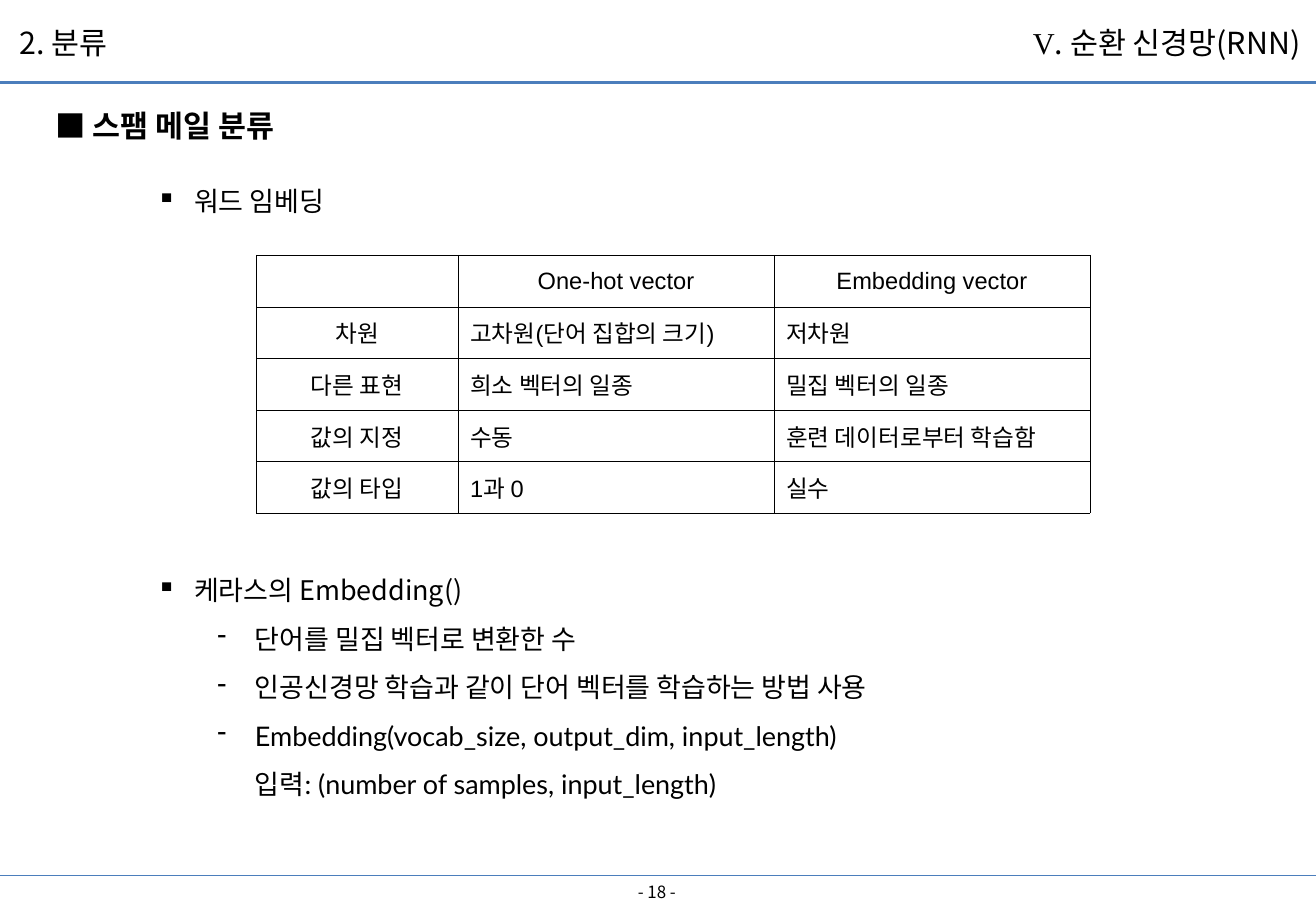
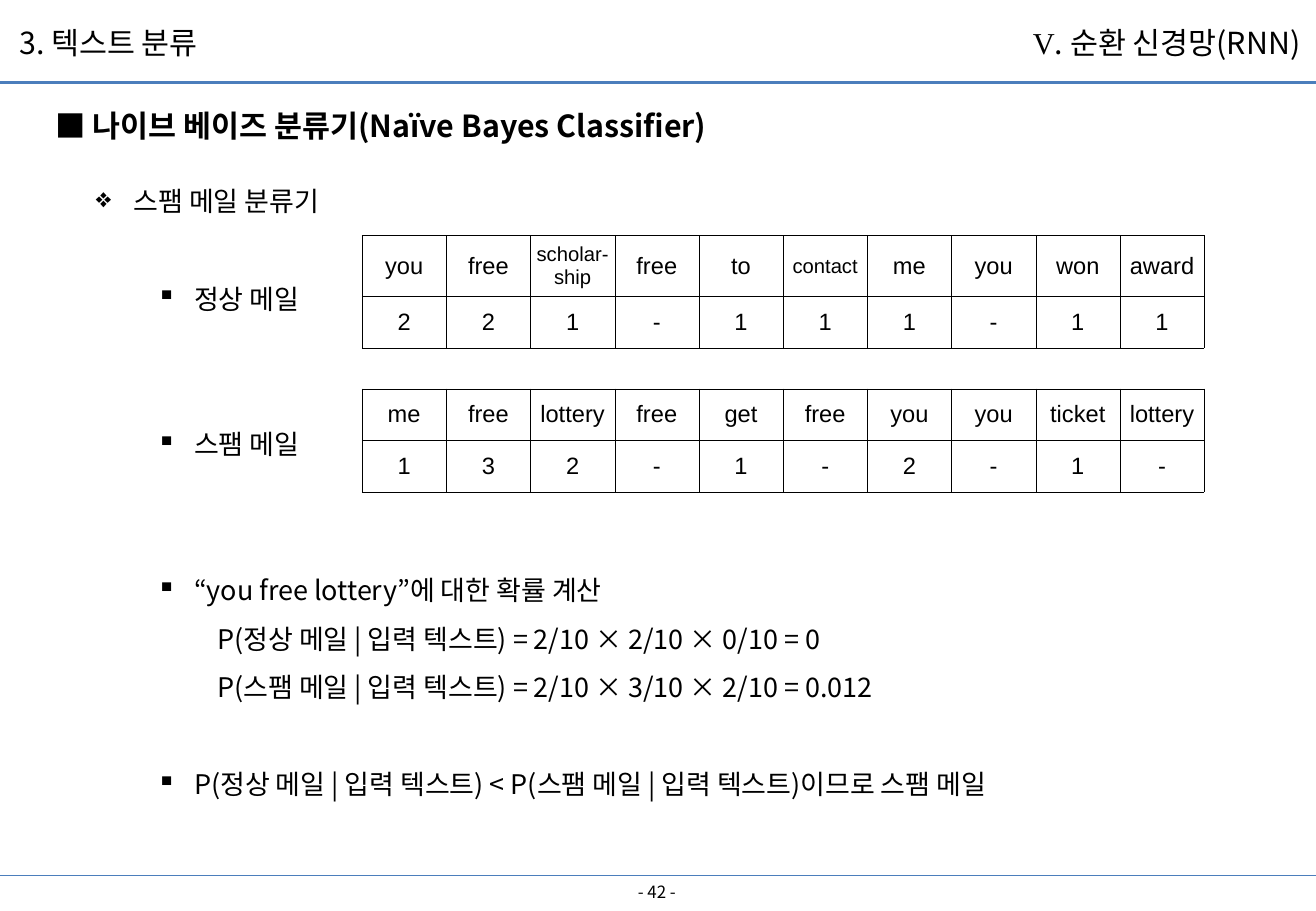
from lxml import etree
from pptx import Presentation
from pptx.dml.color import RGBColor
from pptx.enum.shapes import MSO_CONNECTOR
from pptx.enum.text import MSO_ANCHOR, PP_ALIGN
from pptx.oxml.ns import qn
from pptx.util import Inches, Pt

LEFT, CENTER, RIGHT = PP_ALIGN.LEFT, PP_ALIGN.CENTER, PP_ALIGN.RIGHT
TOP, MIDDLE = MSO_ANCHOR.TOP, MSO_ANCHOR.MIDDLE
STRAIGHT = MSO_CONNECTOR.STRAIGHT

COLORS = {"text": "000000", "rule": "4B7EBC", "border": "000000"}
KOREAN, SERIF, TABLE_FONT, CODE_FONT = (
    "Noto Sans CJK KR", "Times New Roman", "Arial", "Lato")
SLIDE_W, SLIDE_H = 10.83, 7.5
CHAPTER = "순환 신경망(RNN)"
BODY = (0.69, 1.34, 9.92)   # left, top, width
LINE_PITCH = 0.4
LINE_FACTOR = 1.2           # single line height per point of text

# Outline styles: bullet, left margin, first-line indent
TOPIC = ("❖", 0.31, -0.31)
ITEM = ("▪", 0.81, -0.31)
DETAIL = ("-", 1.31, -0.31)
FORMULA = (None, 1, 0)


def rgb(key):
    return RGBColor.from_string(COLORS[key])


def style_paragraph(paragraph, size, font=KOREAN, bold=False, align=LEFT):
    paragraph.alignment = align
    paragraph.font.size = Pt(size)
    paragraph.font.bold = bold
    paragraph.font.name = font
    paragraph.font.color.rgb = rgb("text")
    defaults = paragraph._p.pPr.find(qn("a:defRPr"))
    latin = defaults.find(qn("a:latin"))
    east_asian = etree.Element(qn("a:ea"), typeface=KOREAN)
    latin.addnext(east_asian)


def set_outline(paragraph, bullet, margin, indent):
    props = paragraph._p.pPr
    props.set("marL", str(Inches(margin)))
    props.set("indent", str(Inches(indent)))
    if bullet:
        mark = etree.Element(qn("a:buChar"), char=bullet)
        props.find(qn("a:defRPr")).addprevious(mark)


def add_text_frame(slide, box, wrap=True, anchor=TOP):
    frame = slide.shapes.add_textbox(*map(Inches, box)).text_frame
    frame.word_wrap = wrap
    frame.vertical_anchor = anchor
    return frame


def add_label(slide, box, text, size, spacing=1, wrap=True, anchor=TOP, **style):
    paragraph = add_text_frame(slide, box, wrap, anchor).paragraphs[0]
    paragraph.text = text
    style_paragraph(paragraph, size, **style)
    paragraph.line_spacing = Pt(LINE_FACTOR * size * spacing)
    return paragraph


def add_rule(slide, y, weight):
    rule = slide.shapes.add_connector(
        STRAIGHT, 0, Inches(y), Inches(SLIDE_W), Inches(y))
    rule.line.color.rgb = rgb("rule")
    rule.line.width = Pt(weight)
    etree.SubElement(rule._element.spPr, qn("a:effectLst"))


def add_frame(slide, section, heading, page):
    """Add the rules, header, page number and heading every slide carries."""
    add_rule(slide, 0.68, 2.25)
    add_rule(slide, 7.21, 0.75)
    chapter = add_label(slide, (8.22, 0.15, 2.58, 0.4), "V", 18,
                        wrap=False, align=RIGHT)
    chapter.runs[0].font.name = SERIF
    chapter.add_run().text = f". {CHAPTER}"
    add_label(slide, (4.14, 7.21, 2.53, 0.26), f"- {page} -", 10,
              anchor=MIDDLE, align=CENTER)
    add_label(slide, (0.06, 0.15, 1.84, 0.4), section, 18, wrap=False)
    add_label(slide, (0.36, 0.68, 10.41, 0.5), f"■ {heading}", 18,
              spacing=1.5, bold=True)


def add_outline(slide, line, entries):
    """Place (style, text[, font]) entries from the given line of the body."""
    left, top, width = BODY
    height = LINE_PITCH * len(entries) + 0.1
    frame = add_text_frame(slide, (left, top + line * LINE_PITCH, width, height))
    for index, (outline, text, *font) in enumerate(entries):
        paragraph = frame.add_paragraph() if index else frame.paragraphs[0]
        paragraph.text = text
        style_paragraph(paragraph, 16, *font)
        paragraph.line_spacing = Pt(LINE_PITCH * 72)
        set_outline(paragraph, *outline)


def style_cell(cell):
    props = cell._tc.get_or_add_tcPr()
    for side in ("lnL", "lnR", "lnT", "lnB"):
        border = etree.SubElement(props, qn(f"a:{side}"), w=str(Pt(0.25)))
        fill = etree.SubElement(border, qn("a:solidFill"))
        etree.SubElement(fill, qn("a:srgbClr"), val=COLORS["border"])
    cell.fill.background()
    cell.vertical_anchor = MIDDLE


def add_grid(slide, left, top, col_widths, row_heights, rows,
             left_columns=(), small=(), narrow_header=False):
    """Add a bordered table; words in small are set at 12 points."""
    table = slide.shapes.add_table(
        len(rows), len(col_widths), Inches(left), Inches(top),
        Inches(sum(col_widths)), Inches(sum(row_heights))).table
    table.first_row = table.horz_banding = False
    for column, width in zip(table.columns, col_widths):
        column.width = Inches(width)
    for r, (row, height) in enumerate(zip(rows, row_heights)):
        table.rows[r].height = Inches(height)
        for c, text in enumerate(row):
            cell = table.cell(r, c)
            style_cell(cell)
            if narrow_header and r == 0:
                cell.margin_left = cell.margin_right = Inches(0.04)
            paragraph = cell.text_frame.paragraphs[0]
            paragraph.text = text
            style_paragraph(paragraph, 12 if text in small else 14, TABLE_FONT,
                            align=LEFT if r and c in left_columns else CENTER)


def add_word_counts(slide, top, header_height, words, counts):
    add_grid(slide, 2.98, top, [0.693] * len(words), [header_height, 0.425],
             [words, counts], small=("scholar-ship", "contact"),
             narrow_header=True)


def build_embedding_slide(slide):
    add_frame(slide, "2. 분류", "스팸 메일 분류", 18)
    add_outline(slide, 0, [(ITEM, "워드 임베딩")])
    add_outline(slide, 8, [
        (ITEM, "케라스의 Embedding()"),
        (DETAIL, "단어를 밀집 벡터로 변환한 수"),
        (DETAIL, "인공신경망 학습과 같이 단어 벡터를 학습하는 방법 사용"),
        (DETAIL, "Embedding(vocab_size, output_dim, input_length)\v"
                 "입력: (number of samples, input_length)", CODE_FONT),
    ])
    rows = [
        ("", "One-hot vector", "Embedding vector"),
        ("차원", "고차원(단어 집합의 크기)", "저차원"),
        ("다른 표현", "희소 벡터의 일종", "밀집 벡터의 일종"),
        ("값의 지정", "수동", "훈련 데이터로부터 학습함"),
        ("값의 타입", "1과 0", "실수"),
    ]
    add_grid(slide, 2.11, 2.1, [1.66, 2.6, 2.6], [0.425] * len(rows), rows,
             left_columns=(1, 2))


def build_naive_bayes_slide(slide):
    add_frame(slide, "3. 텍스트 분류",
              "나이브 베이즈 분류기(Naïve Bayes Classifier)", 42)
    add_outline(slide, 0, [(TOPIC, "스팸 메일 분류기")])
    add_outline(slide, 2, [(ITEM, "정상 메일")])
    add_outline(slide, 5, [(ITEM, "스팸 메일")])
    add_outline(slide, 8, [
        (ITEM, "“you free lottery”에 대한 확률 계산"),
        (FORMULA, "P(정상 메일 | 입력 텍스트) = 2/10 × 2/10 × 0/10 = 0"),
        (FORMULA, "P(스팸 메일 | 입력 텍스트) = 2/10 × 3/10 × 2/10 = 0.012"),
    ])
    add_outline(slide, 12, [
        (ITEM, "P(정상 메일 | 입력 텍스트) < P(스팸 메일 | 입력 텍스트)이므로 스팸 메일"),
    ])
    add_word_counts(
        slide, 1.94, 0.5,
        "you free scholar-ship free to contact me you won award".split(),
        "2 2 1 - 1 1 1 - 1 1".split())
    add_word_counts(
        slide, 3.2, 0.425,
        "me free lottery free get free you you ticket lottery".split(),
        "1 3 2 - 1 - 2 - 1 -".split())


def main():
    deck = Presentation()
    deck.slide_width, deck.slide_height = Inches(SLIDE_W), Inches(SLIDE_H)
    blank = deck.slide_layouts[6]
    for build in (build_embedding_slide, build_naive_bayes_slide):
        build(deck.slides.add_slide(blank))
    deck.save("out.pptx")


if __name__ == "__main__":
    main()
